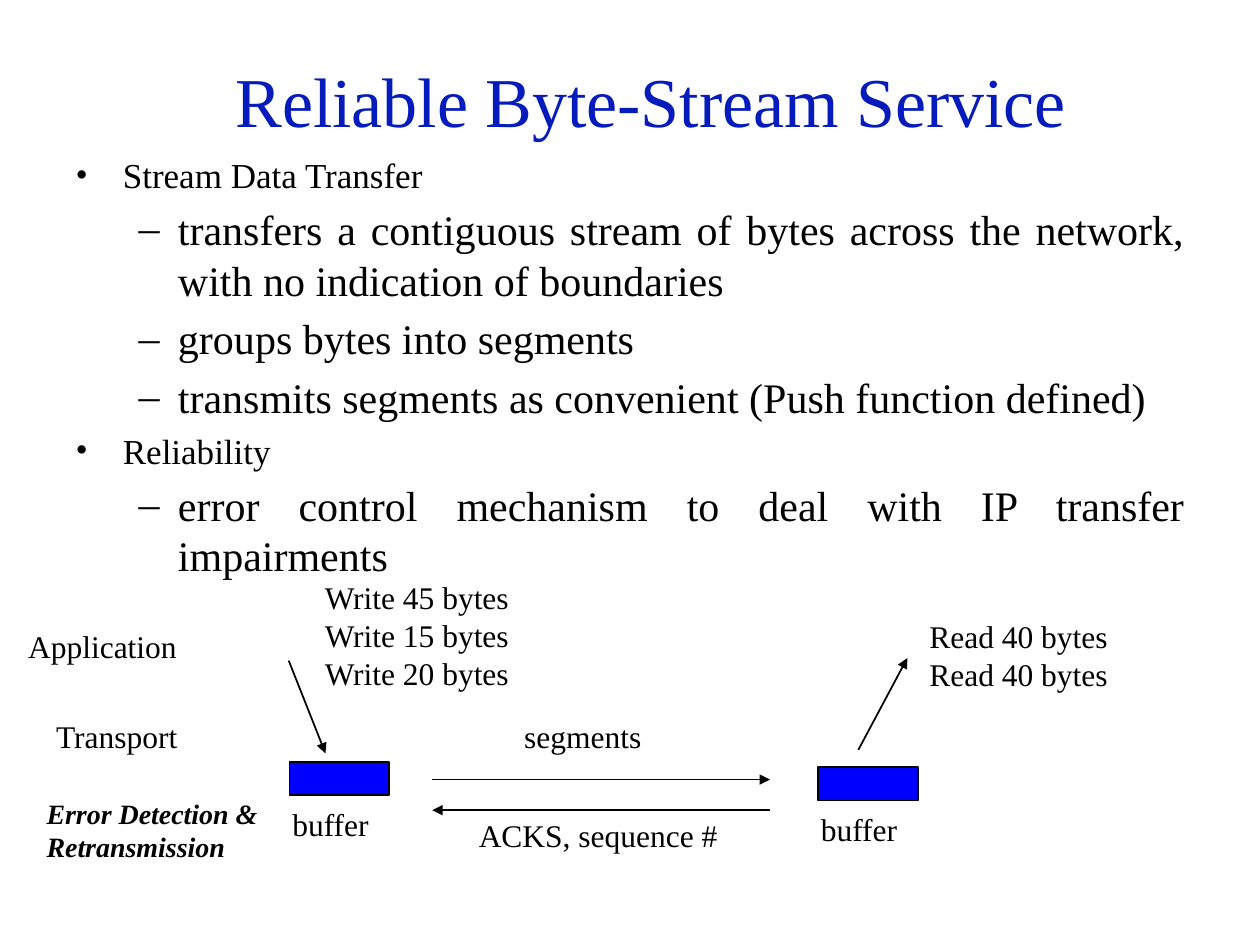
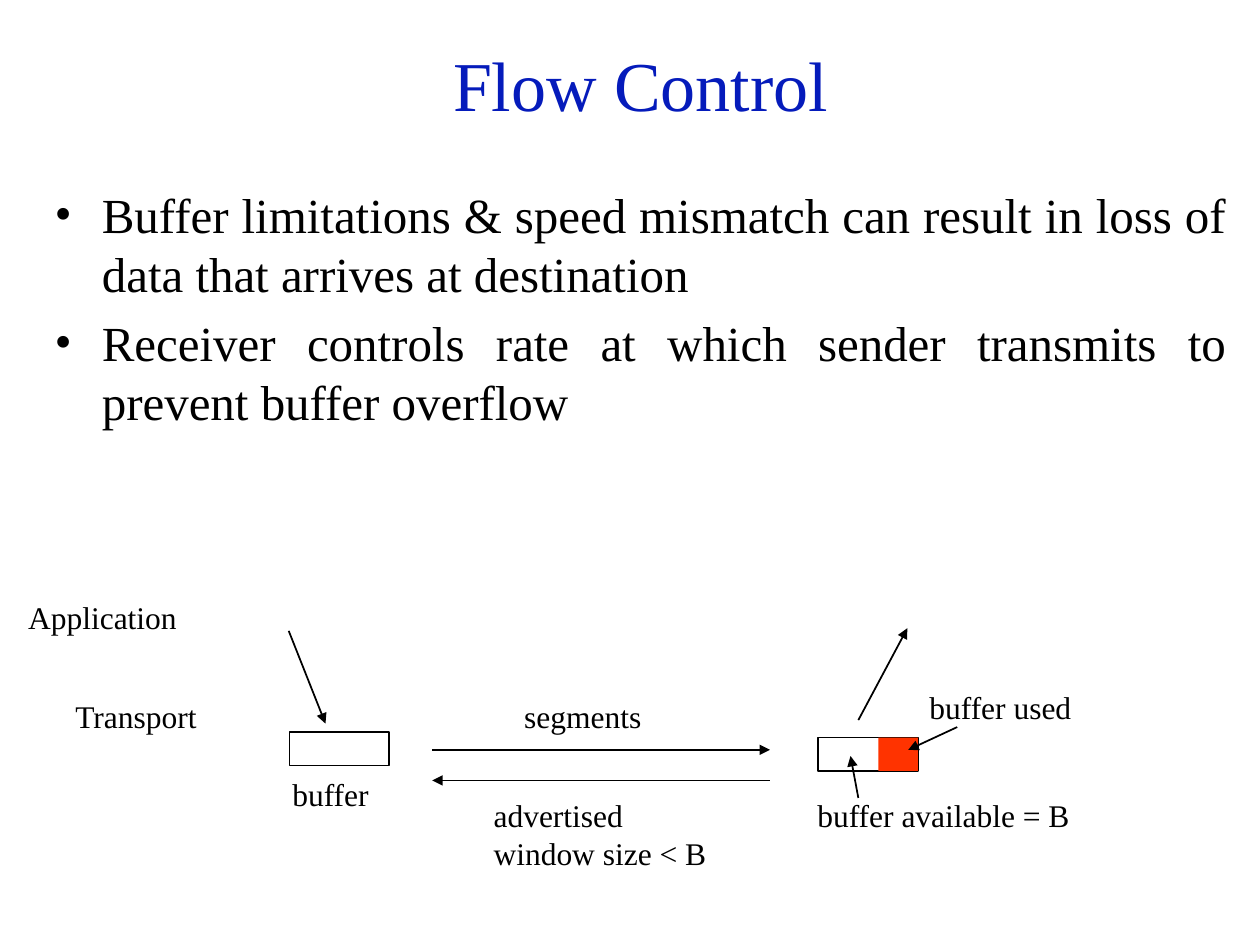
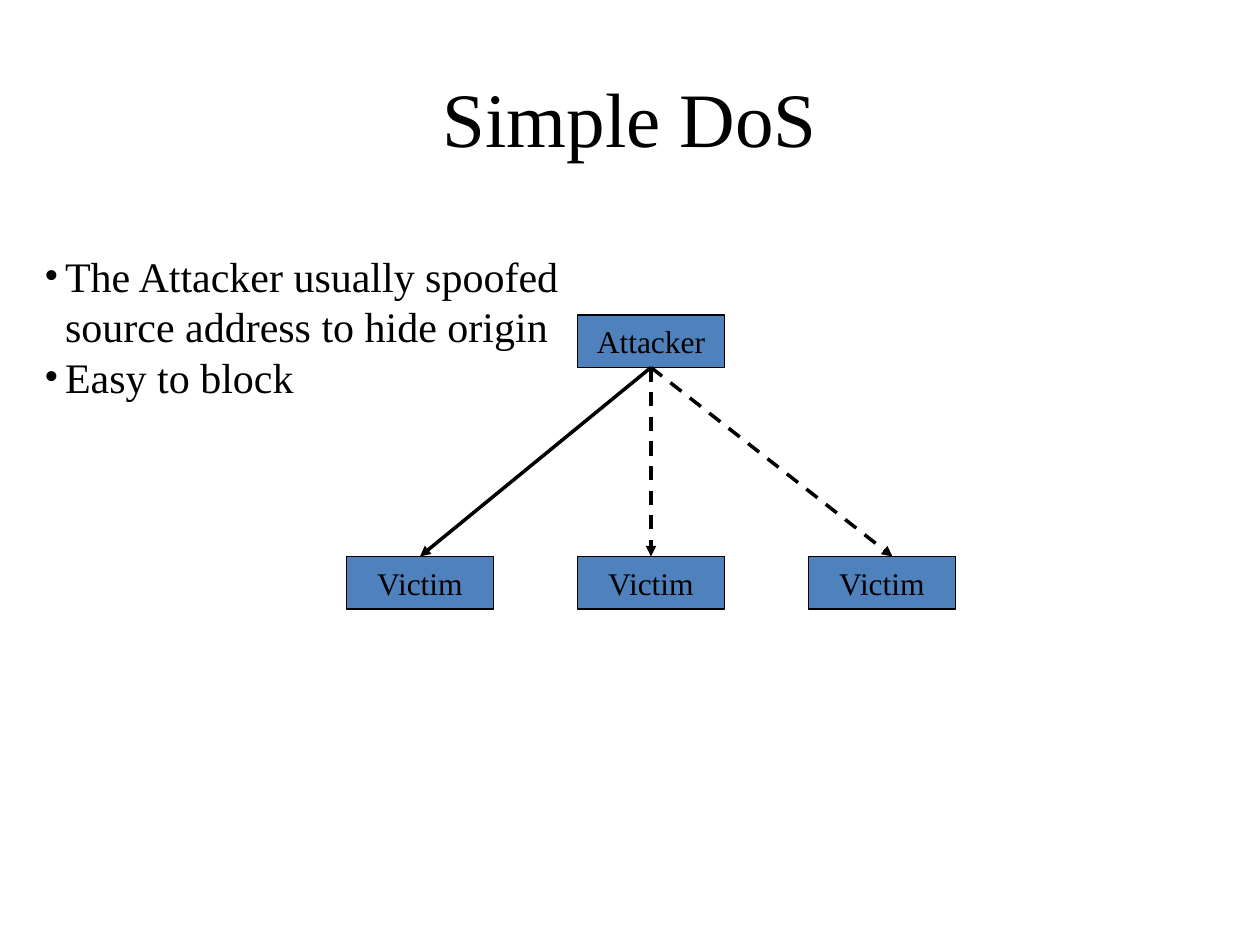
from lxml import etree
from pptx import Presentation
from pptx.dml.color import RGBColor
from pptx.enum import dml, shapes, text
from pptx.oxml import ns
from pptx.util import Pt

FONT = "Times New Roman"
HUES = {
    "ink": "000000",
    "title": "051BBB",
    "full": "0000FF",
    "used": "FF3300",
    "node": "4F81BD",
}
# Bullet sign and hanging indent (left edge, hang) for each list level
MARKS = [("•", 27, 27), ("–", 58.5, 22.5)]
BUF_W, BUF_H = 57, 19
NODE_W, NODE_H = 84, 30


def hue(name):
    return RGBColor.from_string(HUES[name])


def sub(node, tag, **attrs):
    return etree.SubElement(node, ns.qn(tag), **attrs)


def place(shape, left, top, wide, high):
    shape.left, shape.top = Pt(left), Pt(top)
    shape.width, shape.height = Pt(wide), Pt(high)


# Text
def write(para, words, size=18, color="ink", bold=False, slant=False, align=None):
    para.alignment = align
    run = para.add_run()
    run.text = words
    font = run.font
    font.name, font.size = FONT, Pt(size)
    font.bold, font.italic = bold, slant
    font.color.rgb = hue(color)


def label(slide, left, top, wide, *lines, wrap=False, **form):
    box = slide.shapes.add_textbox(Pt(left), Pt(top), Pt(wide), Pt(4 + 27 * len(lines)))
    frame = box.text_frame
    frame.word_wrap = wrap
    frame.auto_size = text.MSO_AUTO_SIZE.SHAPE_TO_FIT_TEXT
    for i, line in enumerate(lines):
        para = frame.add_paragraph() if i else frame.paragraphs[0]
        write(para, line, **form)


def head(slide, words, spot, size=40, color="title"):
    title = slide.shapes.title
    place(title, *spot)
    frame = title.text_frame
    frame.auto_size = text.MSO_AUTO_SIZE.NONE
    frame.vertical_anchor = text.MSO_ANCHOR.MIDDLE
    write(frame.paragraphs[0], words, size=size, color=color, align=text.PP_ALIGN.CENTER)


def items(slide, spot, rows, sizes, marks=MARKS, gap=0.2, align=text.PP_ALIGN.JUSTIFY):
    """Fill the body placeholder; rows are (level, words)."""
    body = slide.placeholders[1]
    place(body, *spot)
    frame = body.text_frame
    frame.auto_size = text.MSO_AUTO_SIZE.NONE
    for i, (level, words) in enumerate(rows):
        para = frame.add_paragraph() if i else frame.paragraphs[0]
        para.level = level
        para.space_before = Pt(gap * sizes[level] if i else 0)
        sign, left, hang = marks[level]
        props = para._p.get_or_add_pPr()
        props.set("marL", str(Pt(left)))
        props.set("indent", str(-Pt(hang)))
        sub(props, "a:buFont", typeface=FONT)
        sub(props, "a:buChar", char=sign)
        write(para, words, size=sizes[level], align=align)


# Shapes
def rect(slide, left, top, wide, high, fill=None, line=1):
    box = slide.shapes.add_shape(
        shapes.MSO_SHAPE.RECTANGLE, Pt(left), Pt(top), Pt(wide), Pt(high))
    box.shadow.inherit = False
    if fill:
        box.fill.solid()
        box.fill.fore_color.rgb = hue(fill)
    else:
        box.fill.background()
    if line:
        box.line.color.rgb = hue("ink")
        box.line.width = Pt(line)
    else:
        box.line.fill.background()
    return box


def node(slide, left, top, words):
    box = rect(slide, left, top, NODE_W, NODE_H, "node", 0.75)
    frame = box.text_frame
    frame.word_wrap = False
    frame.vertical_anchor = text.MSO_ANCHOR.MIDDLE
    write(frame.paragraphs[0], words, align=text.PP_ALIGN.CENTER)
    return box


def arrow(slide, x1, y1, x2, y2, wide=1, dash=False):
    link = slide.shapes.add_connector(
        shapes.MSO_CONNECTOR.STRAIGHT, Pt(x1), Pt(y1), Pt(x2), Pt(y2))
    link.line.color.rgb = hue("ink")
    link.line.width = Pt(wide)
    if dash:
        link.line.dash_style = dml.MSO_LINE.DASH
    sub(link.line._get_or_add_ln(), "a:tailEnd", type="triangle")
    sub(link._element.spPr, "a:effectLst")
    return link


def net(slide, top, row, left, fill=None):
    """Sender and receiver; row is the transport line, left its label's edge."""
    label(slide, 9, top, 109, "Application")
    label(slide, left, row, 92, "Transport")
    label(slide, 292.5, row, 89, "segments")
    arrow(slide, 165, top + 22.5, 186, top + 75.5)
    rect(slide, 165.5, top + 80.5, BUF_W, BUF_H, fill)
    label(slide, 160, top + 101.5, 63, "buffer")
    arrow(slide, 247, top + 90.5, 440, top + 90.5)
    arrow(slide, 440, top + 108, 247, top + 108)
    rect(slide, 467.5, top + 83.5, BUF_W, BUF_H, fill)
    arrow(slide, 490.5, top + 73.5, 518.5, top + 21)


# Slides
def stream(slide):
    head(slide, "Reliable Byte-Stream Service", (48, 12, 648, 90))
    items(slide, (36, 84, 648, 398), [
        (0, "Stream Data Transfer"),
        (1, "transfers a contiguous stream of bytes across the network, "
            "with no indication of boundaries"),
        (1, "groups bytes into segments"),
        (1, "transmits segments as convenient (Push function defined)"),
        (0, "Reliability"),
        (1, "error control mechanism to deal with IP transfer impairments"),
    ], (20, 24))
    net(slide, 355, 406, 25, "full")
    label(slide, 178.5, 327, 132, "Write 45 bytes", "Write 15 bytes", "Write 20 bytes")
    label(slide, 524, 349, 127, "Read 40 bytes", "Read 40 bytes")
    label(slide, 462, 459.5, 63, "buffer")
    label(slide, 266.5, 463, 166, "ACKS, sequence #")
    label(slide, 19.5, 451.5, 142, "Error Detection & Retransmission",
          wrap=True, size=16, bold=True, slant=True)


def flow(slide):
    head(slide, "Flow Control", (42, 12, 648, 72))
    items(slide, (24, 102, 684, 198), [
        (0, "Buffer limitations & speed mismatch can result in loss of data "
            "that arrives at destination"),
        (0, "Receiver controls rate at which sender transmits to prevent "
            "buffer overflow"),
    ], (28,))
    net(slide, 338, 394.5, 36)
    rect(slide, 502, 421.5, 22.5, BUF_H, "used", line=None)
    label(slide, 524, 389.5, 104, "buffer used")
    label(slide, 275, 451.5, 149, "advertised", "window size < B")
    label(slide, 460, 451.5, 159, "buffer available = B")
    arrow(slide, 490.5, 456, 486, 432)
    arrow(slide, 547, 415.5, 519, 428.5)


def attack(slide):
    head(slide, "Simple DoS", (36, 21.5, 648, 90), size=44, color="ink")
    items(slide, (18, 139.5, 322, 94), [
        (0, "The Attacker usually spoofed source address to hide origin"),
        (0, "Easy to block"),
    ], (24,), marks=[("•", 12, 12)], gap=0, align=text.PP_ALIGN.LEFT)
    source = node(slide, 330, 180, "Attacker")
    mid = 330 + NODE_W / 2
    for i in range(3):
        left = 198 + 132 * i
        goal = node(slide, left, 318, "Victim")
        # The last arrow lands right of its box's middle
        end = 510 if i == 2 else left + NODE_W / 2
        link = arrow(slide, mid, 210, end, 318, wide=2, dash=i > 0)
        link.begin_connect(source, 2)
        if i < 2:
            link.end_connect(goal, 0)


def main():
    deck = Presentation()
    deck.slide_width, deck.slide_height = Pt(720), Pt(540)
    for draw in (stream, flow, attack):
        draw(deck.slides.add_slide(deck.slide_layouts[1]))
    deck.save("out.pptx")


if __name__ == "__main__":
    main()
